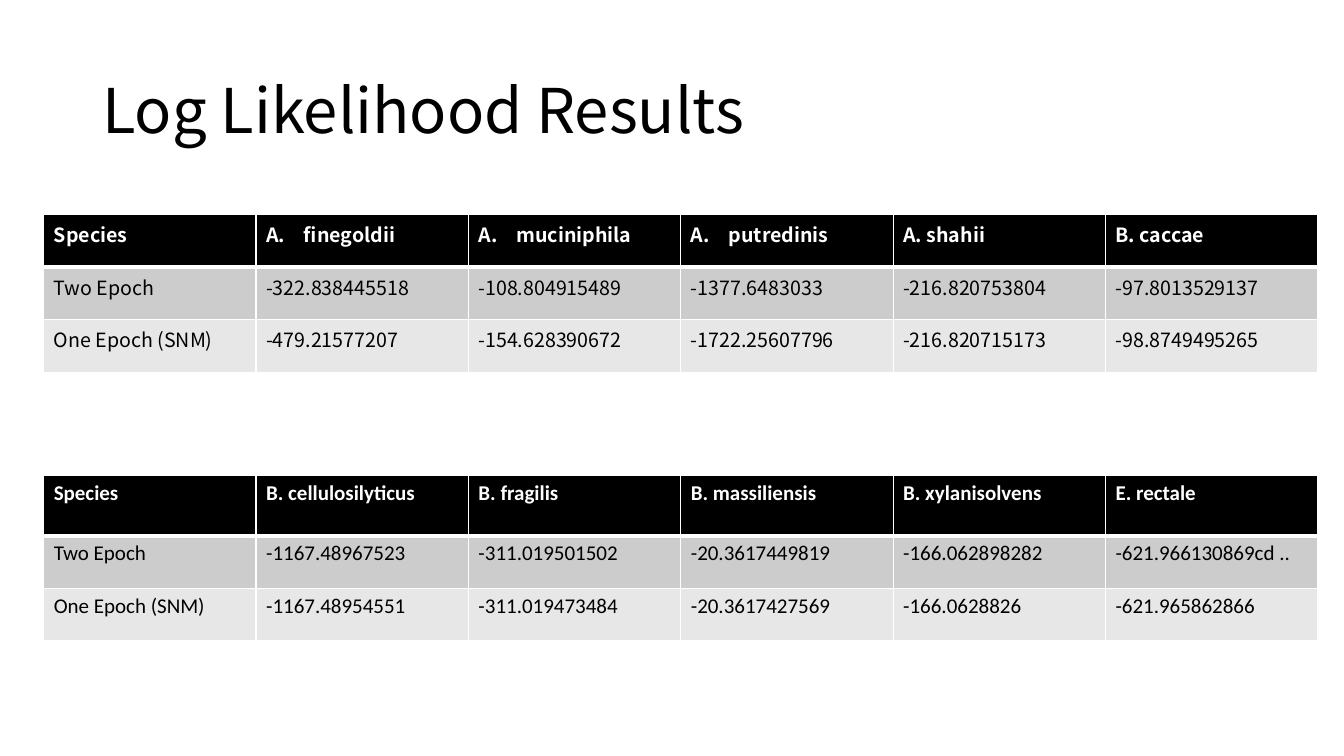
import pptx
import pptx.dml.color
import pptx.enum.text
import pptx.oxml.ns
import pptx.util
from lxml import etree

Pt = pptx.util.Pt
BLACK = pptx.dml.color.RGBColor(0x00, 0x00, 0x00)
WHITE = pptx.dml.color.RGBColor(0xFF, 0xFF, 0xFF)
DARK_BAND = pptx.dml.color.RGBColor(0xCC, 0xCC, 0xCC)
LIGHT_BAND = pptx.dml.color.RGBColor(0xE7, 0xE7, 0xE7)
ROW_FILLS = [BLACK, DARK_BAND, LIGHT_BAND]
TITLE_FONT = "Noto Sans CJK JP"
COLUMN_WIDTH = 151.7
ROW_HEIGHT = 37.5


def add_element(parent, tag, **attributes):
    return etree.SubElement(parent, pptx.oxml.ns.qn(tag), attributes)


def add_border(cell, side, width):
    line = add_element(cell._tc.get_or_add_tcPr(), f"a:ln{side}", w=str(Pt(width)))
    add_element(add_element(line, "a:solidFill"), "a:srgbClr", val=str(WHITE))


presentation = pptx.Presentation()
presentation.slide_width = Pt(960)
presentation.slide_height = Pt(540)
slide = presentation.slides.add_slide(presentation.slide_layouts[6])

title = slide.shapes.add_textbox(Pt(66), Pt(28.75), Pt(828), Pt(104.4)).text_frame
title.word_wrap = True
title.vertical_anchor = pptx.enum.text.MSO_ANCHOR.MIDDLE
heading = title.paragraphs[0]
heading.text = "Log Likelihood Results"
heading.line_spacing = 0.9
heading.font.size = Pt(44)
heading.font.name = TITLE_FONT
heading.font.color.rgb = BLACK

first_results = [
    ["Species", "finegoldii", "muciniphila", "putredinis", "A. shahii", "B. caccae"],
    ["Two Epoch", "-322.838445518", "-108.804915489", "-1377.6483033",
     "-216.820753804", "-97.8013529137"],
    ["One Epoch (SNM)", "-479.21577207", "-154.628390672", "-1722.25607796",
     "-216.820715173", "-98.8749495265"],
]
second_results = [
    ["Species", "B. cellulosilyticus", "B. fragilis", "B. massiliensis",
     "B. xylanisolvens", "E. rectale"],
    ["Two Epoch", "-1167.48967523", "-311.019501502", "-20.3617449819",
     "-166.062898282", "-621.966130869cd .."],
    ["One Epoch (SNM)", "-1167.48954551", "-311.019473484", "-20.3617427569",
     "-166.0628826", "-621.965862866"],
]
lettered_species = {"finegoldii", "muciniphila", "putredinis"}

for results, top, header_height, font_name, font_size in [
    (first_results, 153.4, ROW_HEIGHT, TITLE_FONT, 14),
    (second_results, 339.8, 43, "Calibri", 15),
]:
    likelihoods = slide.shapes.add_table(
        len(results), len(results[0]), Pt(31.2), Pt(top),
        Pt(COLUMN_WIDTH * len(results[0])), Pt(header_height + 2 * ROW_HEIGHT),
    ).table
    for column in likelihoods.columns:
        column.width = Pt(COLUMN_WIDTH)
    for row_index, values in enumerate(results):
        is_header = row_index == 0
        likelihoods.rows[row_index].height = Pt(header_height if is_header else ROW_HEIGHT)
        for column_index, value in enumerate(values):
            cell = likelihoods.cell(row_index, column_index)
            add_border(cell, "L", 1)
            add_border(cell, "R", 1)
            add_border(cell, "T", 3 if row_index == 1 else 1)
            add_border(cell, "B", 3 if is_header else 1)
            cell.fill.solid()
            cell.fill.fore_color.rgb = ROW_FILLS[row_index]
            entry = cell.text_frame.paragraphs[0]
            entry.text = value
            if value in lettered_species:
                properties = entry._p.get_or_add_pPr()
                properties.set("marL", str(Pt(27)))
                properties.set("indent", str(Pt(-27)))
                add_element(properties, "a:buFont", typeface="+mj-lt")
                add_element(properties, "a:buAutoNum", type="alphaUcPeriod")
            entry.font.size = Pt(font_size)
            entry.font.name = font_name
            entry.font.bold = is_header
            entry.font.color.rgb = WHITE if is_header else BLACK

presentation.save("out.pptx")
